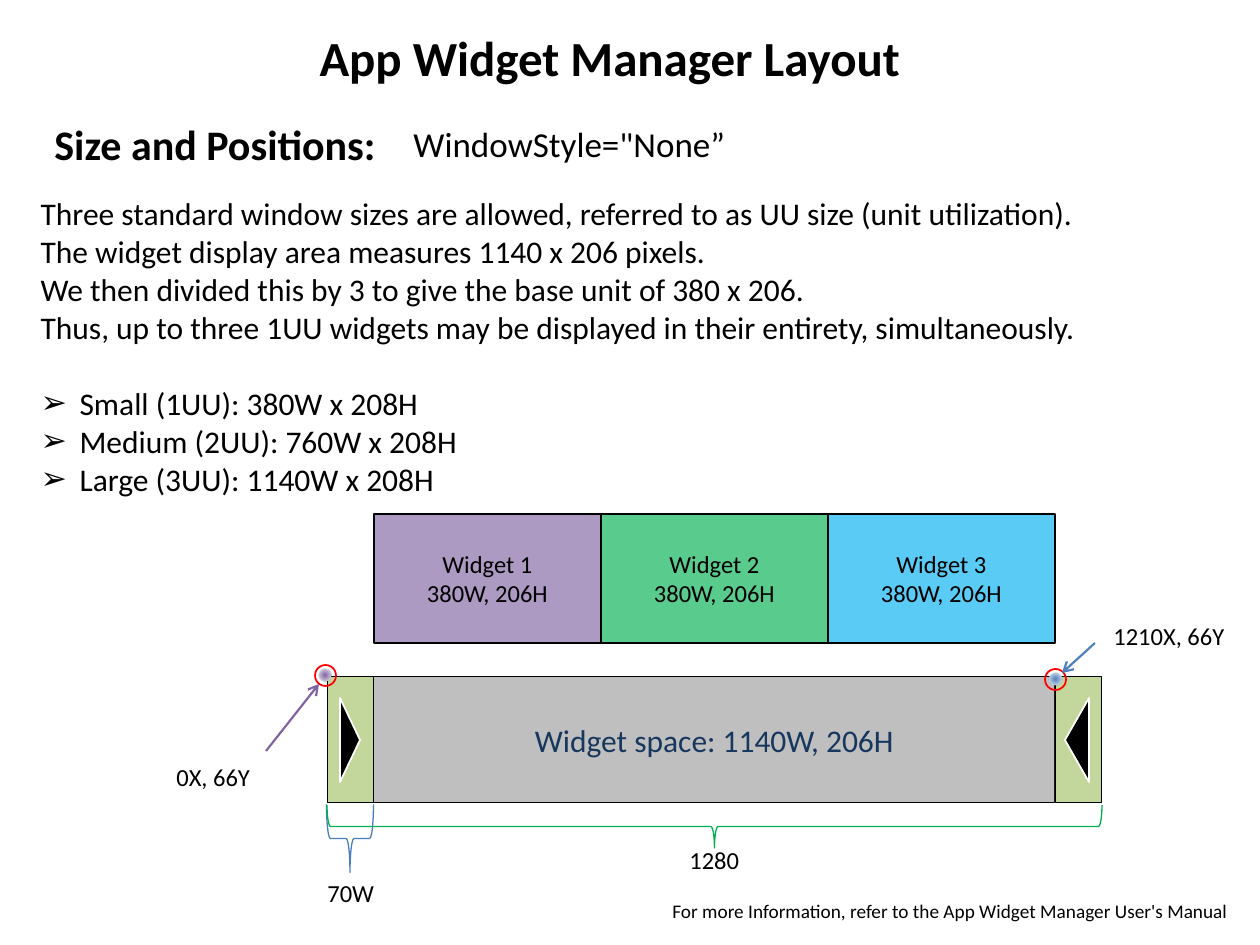
from dataclasses import dataclass
from typing import Optional

from lxml import etree
from pptx import Presentation, util as u
from pptx.dml.color import RGBColor
from pptx.enum import shapes, text
from pptx.oxml import parse_xml
from pptx.oxml.ns import nsdecls, qn

EMU_PER_PX = 914400 / 126


@dataclass(frozen=True)
class Theme:
    font: str = "Calibri"
    black: str = "000000"
    white: str = "FFFFFF"
    navy: str = "17375E"
    red: str = "FF0000"
    gray: str = "BFBFBF"
    olive: str = "C3D69B"
    purple: str = "8064A2"
    pale_purple: str = "CCC1DA"
    blue: str = "4F81BD"
    pale_blue: str = "B9CDE5"
    brace_blue: str = "4B7EBC"
    green: str = "00B050"
    sky: str = "00B0F0"
    title: int = 28
    heading: int = 24
    style: int = 20
    body: int = 18
    label: int = 14
    footer: int = 11


@dataclass(frozen=True)
class Box:
    left: int
    top: int
    width: int
    height: int

    def emu(self) -> list:
        return [px(v) for v in (self.left, self.top, self.width, self.height)]

    def turned(self) -> "Box":
        """Frame that covers this box after a quarter turn."""
        shift = (self.width - self.height) // 2
        return Box(self.left + shift, self.top - shift, self.height, self.width)


@dataclass(frozen=True)
class Label:
    words: str
    box: Box
    size: int
    bold: bool = False
    wrap: bool = False


@dataclass(frozen=True)
class Marker:
    box: Box
    color: str
    pale: str
    start: tuple
    end: tuple


THEME = Theme()
LEFT, SPACE_TOP = 327, 677
ARROW_WIDTH, WIDGET_WIDTH = 47, 227
SPACE_LEFT, SPACE_WIDTH, SPACE_HEIGHT = LEFT + ARROW_WIDTH, 3 * WIDGET_WIDTH, 126
RIGHT = SPACE_LEFT + SPACE_WIDTH

TITLE = Label("App Widget Manager Layout", Box(307, 21, 612, 72), THEME.title, bold=True)
LABELS = [
    Label("Size and Positions:", Box(42, 112, 914, 63), THEME.heading, bold=True, wrap=True),
    Label('WindowStyle="None”', Box(401, 116, 348, 55), THEME.style),
    Label("0X, 66Y", Box(164, 756, 100, 43), THEME.label),
    Label("1210X, 66Y", Box(1101, 615, 137, 43), THEME.label),
    Label("70W", Box(315, 872, 73, 43), THEME.label),
    Label("1280", Box(677, 839, 76, 43), THEME.label),
    Label("For more Information, refer to the App Widget Manager User's Manual",
          Box(660, 893, 590, 37), THEME.footer),
]
INTRO = [
    "Three standard window sizes are allowed, referred to as UU size (unit utilization).",
    "The widget display area measures 1140 x 206 pixels.",
    "We then divided this by 3 to give the base unit of 380 x 206.",
    "Thus, up to three 1UU widgets may be displayed in their entirety, simultaneously.",
]
SIZES = ["Small (1UU): 380W x 208H", "Medium (2UU): 760W x 208H", "Large (3UU): 1140W x 208H"]
MARKERS = [
    Marker(Box(315, 665, 21, 21), THEME.purple, THEME.pale_purple, (266, 751), (319, 684)),
    Marker(Box(1045, 669, 21, 21), THEME.blue, THEME.pale_blue, (1095, 643), (1062, 673)),
]


def px(value: float) -> u.Emu:
    return u.Emu(round(value * EMU_PER_PX))


def rgb(value: str) -> RGBColor:
    return RGBColor.from_string(value)


def apply(target, values: dict) -> None:
    for name, value in values.items():
        setattr(target, name, value)


def place(shape, box: Box) -> None:
    apply(shape, dict(zip(("left", "top", "width", "height"), box.emu())))


def write(frame, lines: list, size: int, color: str = THEME.black, bold: bool = False,
          align=text.PP_ALIGN.LEFT) -> None:
    frame.text = "\n".join(lines)
    for paragraph in frame.paragraphs:
        apply(paragraph, {"alignment": align, "space_before": u.Pt(0)})
        apply(paragraph.runs[0].font, {"name": THEME.font, "size": u.Pt(size), "bold": bold})
        paragraph.runs[0].font.color.rgb = rgb(color)


def fit_label(shape, label: Label) -> None:
    place(shape, label.box)
    apply(shape.text_frame, {"word_wrap": label.wrap, "auto_size": text.MSO_AUTO_SIZE.NONE,
                             "vertical_anchor": text.MSO_ANCHOR.TOP})
    write(shape.text_frame, [label.words], label.size, bold=label.bold)


def fill_body(shape) -> None:
    place(shape, Box(28, 188, 1077, 318))
    apply(shape.text_frame, {"word_wrap": False, "auto_size": text.MSO_AUTO_SIZE.NONE})
    write(shape.text_frame, INTRO + SIZES, THEME.body)
    paragraphs = shape.text_frame.paragraphs
    paragraphs[len(INTRO)].space_before = u.Pt(22)
    for index, paragraph in enumerate(paragraphs):
        bulleted = index >= len(INTRO)
        indent = px(39) if bulleted else 0
        properties = paragraph._p.get_or_add_pPr()
        properties.set("marL", str(indent))
        properties.set("indent", str(-indent))
        if bulleted:
            etree.SubElement(properties, qn("a:buChar")).set("char", "➢")
        else:
            etree.SubElement(properties, qn("a:buNone"))


def add_figure(slide, kind, box: Box, line: str, weight: float, fill: Optional[str] = None,
               rotation: int = 0):
    frame = box.turned() if rotation else box
    shape = slide.shapes.add_shape(kind, *frame.emu())
    shape.rotation = rotation
    shape.shadow.inherit = False
    if fill:
        shape.fill.solid()
        shape.fill.fore_color.rgb = rgb(fill)
    else:
        shape.fill.background()
    shape.line.color.rgb = rgb(line)
    shape.line.width = u.Pt(weight)
    return shape


def add_panel(slide, box: Box, fill: str, weight: float = 0.5, lines: Optional[list] = None,
              size: int = THEME.label, color: str = THEME.black):
    shape = add_figure(slide, shapes.MSO_SHAPE.RECTANGLE, box, THEME.black, weight, fill)
    if lines:
        shape.text_frame.vertical_anchor = text.MSO_ANCHOR.MIDDLE
        write(shape.text_frame, lines, size, color, align=text.PP_ALIGN.CENTER)
    return shape


def add_marker(slide, marker: Marker) -> None:
    dot = add_figure(slide, shapes.MSO_SHAPE.OVAL, marker.box, THEME.red, 1)
    stops = "".join(
        f'<a:gs pos="{position}"><a:srgbClr val="{color}"><a:alpha val="{alpha}"/></a:srgbClr></a:gs>'
        for position, color, alpha in ((0, marker.color, 100000), (40000, marker.pale, 100000),
                                       (43000, THEME.white, 0)))
    glow = parse_xml(
        f'<a:gradFill {nsdecls("a")}><a:gsLst>{stops}</a:gsLst><a:path path="circle">'
        '<a:fillToRect l="50000" t="50000" r="50000" b="50000"/></a:path></a:gradFill>')
    properties = dot._element.spPr
    properties.replace(properties.find(qn("a:noFill")), glow)

    points = [px(v) for v in marker.start + marker.end]
    arrow = slide.shapes.add_connector(shapes.MSO_CONNECTOR.STRAIGHT, *points)
    arrow.line.color.rgb = rgb(marker.color)
    arrow.line.width = u.Pt(1.25)
    etree.SubElement(arrow.line._get_or_add_ln(), qn("a:tailEnd")).set("type", "arrow")
    etree.SubElement(arrow._element.spPr, qn("a:effectLst"))


def main() -> None:
    presentation = Presentation()
    apply(presentation, {"slide_width": px(1260), "slide_height": px(945)})
    slide = presentation.slides.add_slide(presentation.slide_layouts[1])

    # Title, body and labels
    fit_label(slide.shapes.title, TITLE)
    fill_body(slide.placeholders[1])
    for label in LABELS:
        fit_label(slide.shapes.add_textbox(*label.box.emu()), label)

    # Widget space with a scroll arrow at each end
    add_panel(slide, Box(SPACE_LEFT, SPACE_TOP, SPACE_WIDTH, SPACE_HEIGHT), THEME.gray,
              lines=["Widget space: 1140W, 206H"], size=THEME.body, color=THEME.navy)
    for left, triangle, rotation in ((LEFT, Box(340, 698, 20, 84), 90),
                                     (RIGHT, Box(1065, 698, 24, 84), 270)):
        add_panel(slide, Box(left, SPACE_TOP, ARROW_WIDTH, SPACE_HEIGHT), THEME.olive)
        add_figure(slide, shapes.MSO_SHAPE.ISOSCELES_TRIANGLE, triangle, THEME.white, 1,
                   THEME.black, rotation)

    # Corner markers and width braces
    for marker in MARKERS:
        add_marker(slide, marker)
    for box, color in ((Box(LEFT, 804, ARROW_WIDTH, 68), THEME.brace_blue),
                       (Box(LEFT, 805, SPACE_WIDTH + 2 * ARROW_WIDTH, 43), THEME.green)):
        add_figure(slide, shapes.MSO_SHAPE.LEFT_BRACE, box, color, 0.75, rotation=270)

    # Three widgets side by side
    for index, color in enumerate((THEME.purple, THEME.green, THEME.sky)):
        box = Box(SPACE_LEFT + index * WIDGET_WIDTH, 514, WIDGET_WIDTH, 129)
        widget = add_panel(slide, box, color, 1, [f"Widget {index + 1}", "380W, 206H"])
        fill_color = widget._element.spPr.find(qn("a:solidFill"))[0]
        etree.SubElement(fill_color, qn("a:alpha")).set("val", "65000")

    presentation.save("out.pptx")


if __name__ == "__main__":
    main()
